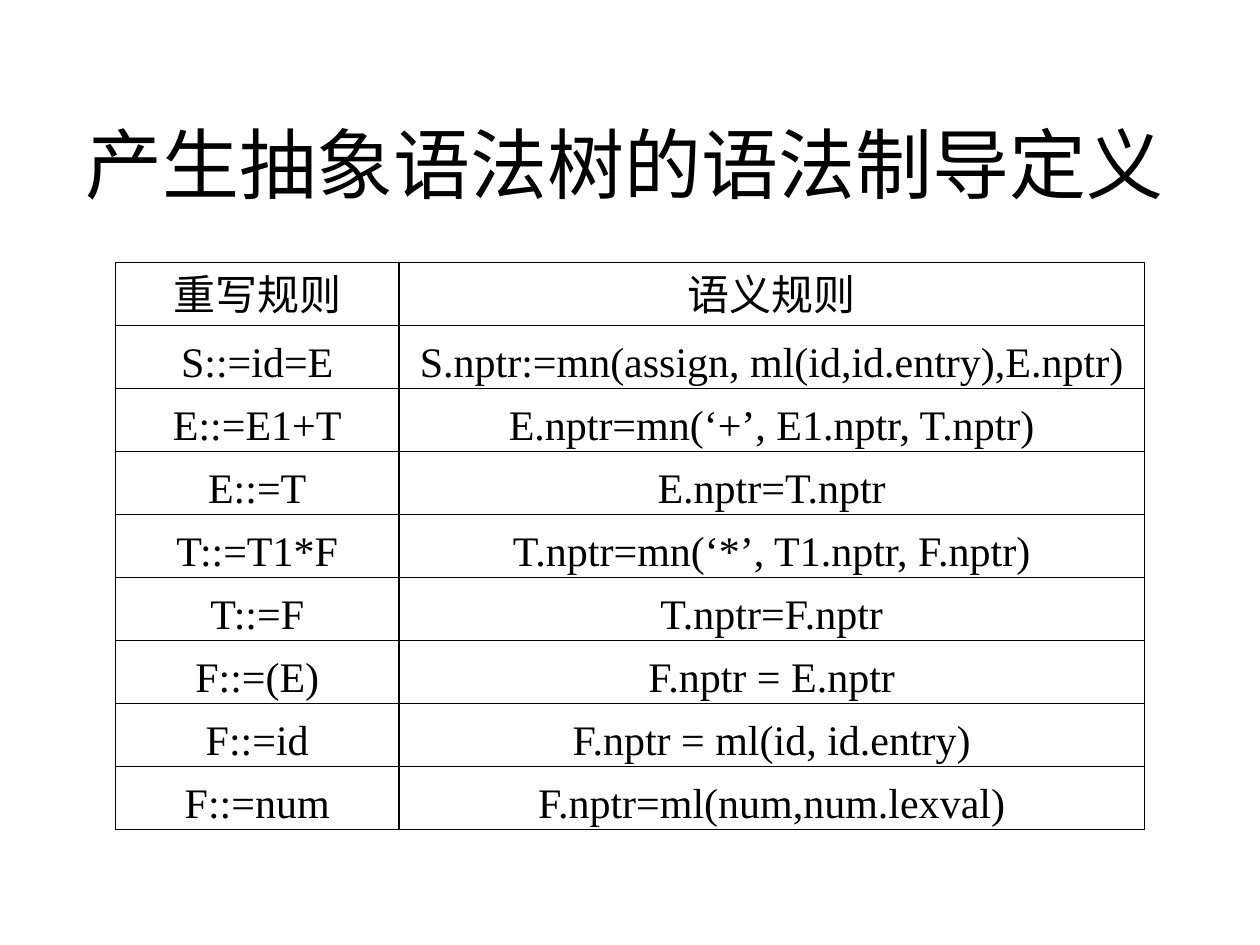
from pptx import Presentation
from pptx import util as u
from pptx.dml.color import RGBColor
from pptx.enum import shapes, text

TITLE = "产生抽象语法树的语法制导定义"
RULES = [
    ("重写规则", "语义规则"),
    ("S::=id=E", "S.nptr:=mn(assign, ml(id,id.entry),E.nptr)"),
    ("E::=E1+T", "E.nptr=mn(‘+’, E1.nptr, T.nptr)"),
    ("E::=T", "E.nptr=T.nptr"),
    ("T::=T1*F", "T.nptr=mn(‘*’, T1.nptr, F.nptr)"),
    ("T::=F", "T.nptr=F.nptr"),
    ("F::=(E)", "F.nptr = E.nptr"),
    ("F::=id", "F.nptr = ml(id, id.entry)"),
    ("F::=num", "F.nptr=ml(num,num.lexval)"),
]
FONT, BLACK = "Times New Roman", "000000"
GRID_TOP, ROW_HEIGHT = 200, 48
COLUMNS = [(88, 216), (304, 568)]  # left, width
HEADER_INSET, RULE_INSET = 0, 5


def px(n):
    return u.Emu(n * 9525)


def color(value):
    return RGBColor.from_string(value)


def write(tf, content, size):
    tf.word_wrap = True
    tf.vertical_anchor = text.MSO_ANCHOR.MIDDLE
    p = tf.paragraphs[0]
    p.alignment = text.PP_ALIGN.CENTER
    r = p.add_run()
    r.text = content
    r.font.name = FONT
    r.font.size = u.Pt(size)
    r.font.color.rgb = color(BLACK)


def add_box(left, top, width, content, top_inset):
    sp = slide.shapes.add_shape(shapes.MSO_SHAPE.RECTANGLE,
                                *map(px, (left, top, width, ROW_HEIGHT)))
    sp.shadow.inherit = False
    sp.fill.background()
    sp.line.color.rgb = color(BLACK)
    sp.line.width = u.Pt(0.75)
    tf = sp.text_frame
    tf.margin_left = tf.margin_right = px(10)
    tf.margin_top, tf.margin_bottom = px(top_inset), 0
    write(tf, content, 24)


prs = Presentation()
prs.slide_width, prs.slide_height = px(960), px(720)
slide = prs.slides.add_slide(prs.slide_layouts[5])

title = slide.shapes.title
title.left, title.top, title.width, title.height = map(px, (48, 64, 856, 120))
write(title.text_frame, TITLE, 44)

for i, rule in enumerate(RULES):
    inset = RULE_INSET if i else HEADER_INSET
    for (left, width), content in zip(COLUMNS, rule):
        add_box(left, GRID_TOP + i * ROW_HEIGHT, width, content, inset)

prs.save("out.pptx")
